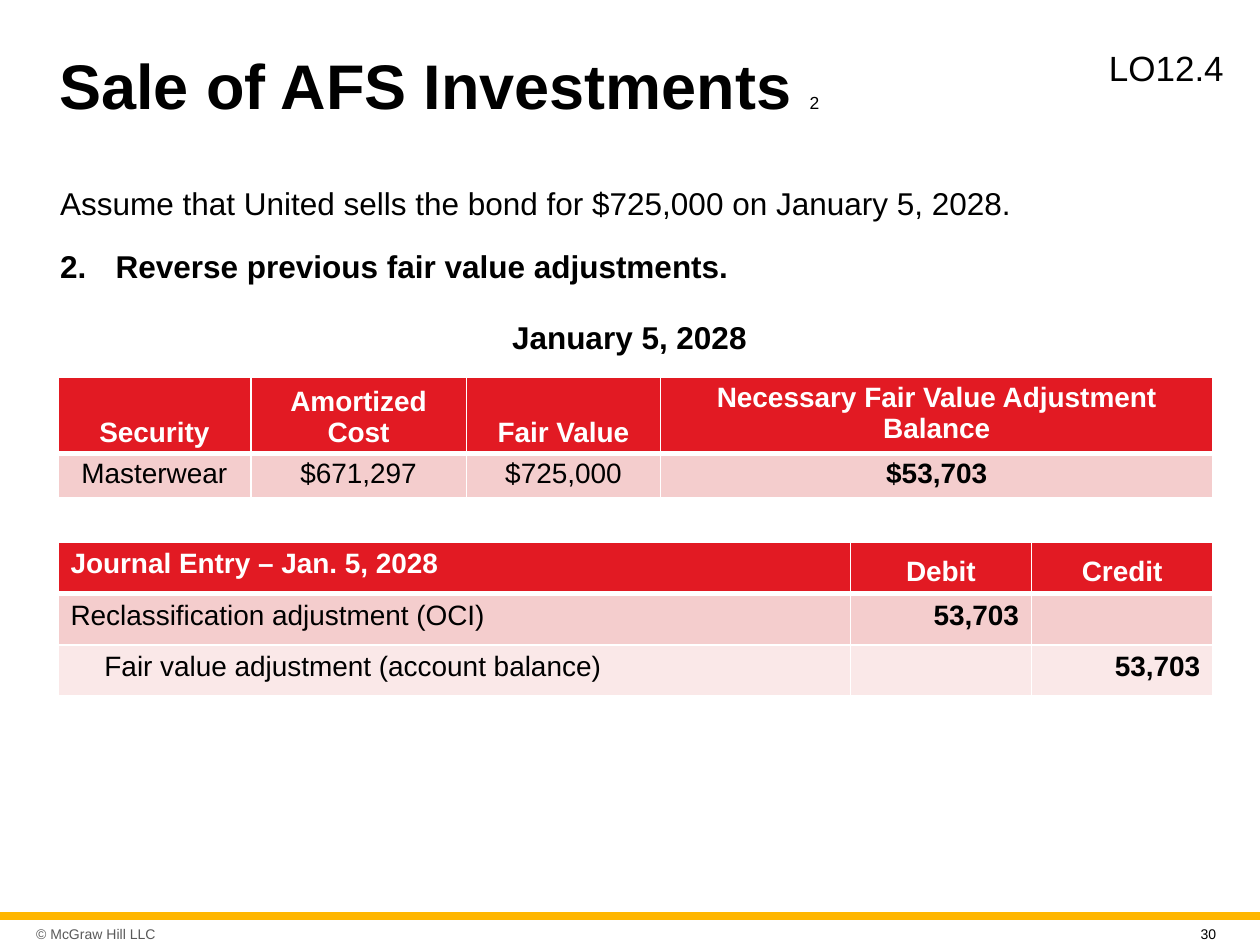
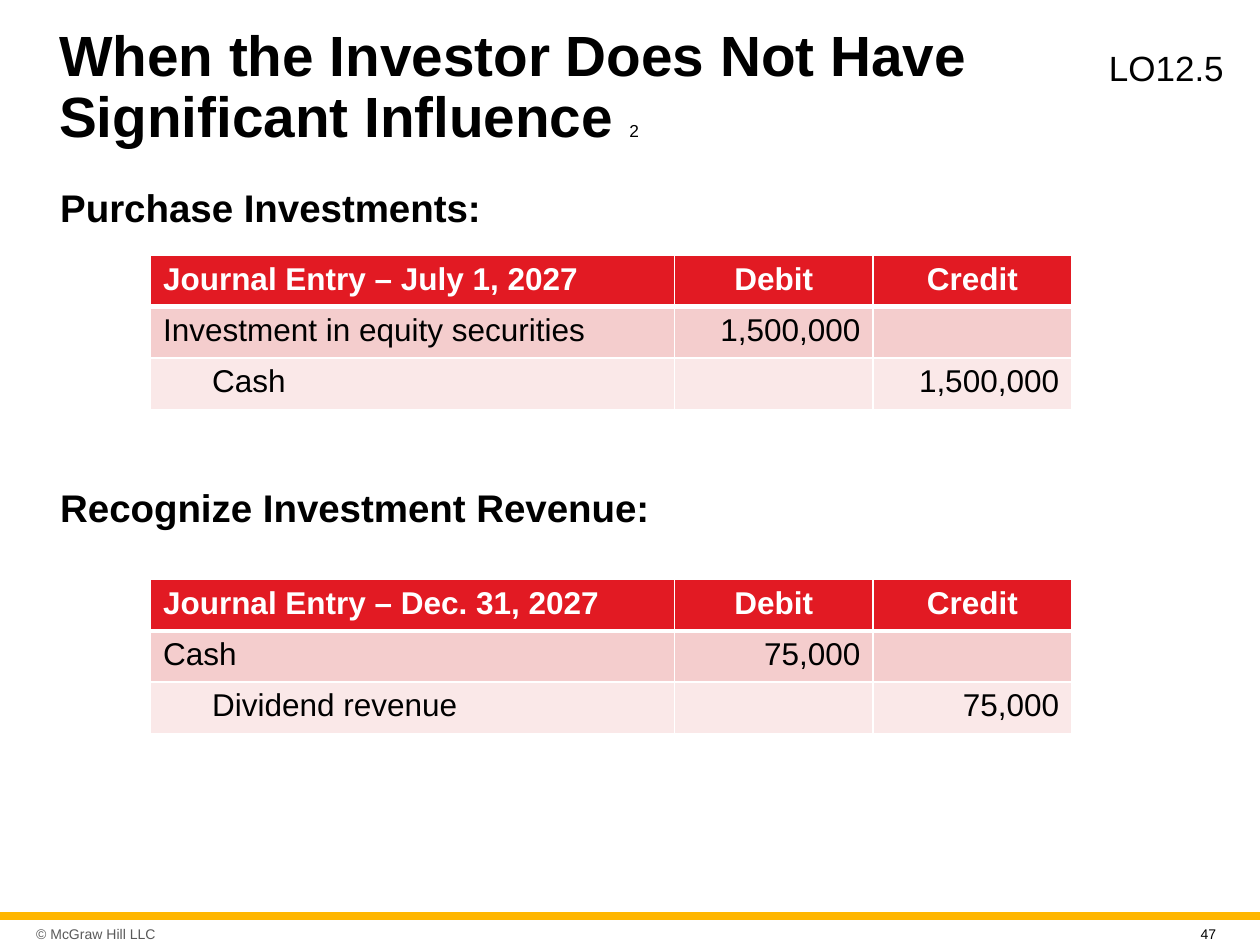
from dataclasses import dataclass
from typing import Optional

from lxml.etree import SubElement
from pptx import Presentation
from pptx.dml.color import RGBColor
from pptx.enum.shapes import MSO_SHAPE as Shape
from pptx.enum.text import MSO_ANCHOR as Anchor, MSO_AUTO_SIZE as AutoSize, PP_ALIGN as Align
from pptx.oxml.ns import qn
from pptx.util import Pt

BLACK = RGBColor(0x00, 0x00, 0x00)
WHITE = RGBColor(0xFF, 0xFF, 0xFF)
GRAY = RGBColor(0x59, 0x59, 0x59)
GOLD = RGBColor(0xFF, 0xB6, 0x00)
RED = RGBColor(0xE2, 0x1A, 0x23)
PINK = RGBColor(0xF4, 0xCD, 0xCD)
PALE_PINK = RGBColor(0xFA, 0xE8, 0xE8)
ROW_FILLS = (RED, PINK, PALE_PINK)

FONT = "Arial"
COMPARISON_LAYOUT = 4
JOURNAL_ROW = 29.3


@dataclass(frozen=True)
class Box:
    left: float
    top: float
    width: float
    height: float


@dataclass(frozen=True)
class Body:
    text: str
    box: Box
    size: float
    bold: bool = False
    align: Align = Align.LEFT
    number: Optional[int] = None


@dataclass(frozen=True)
class Cell:
    text: str = ""
    align: Align = Align.LEFT
    bold: bool = False
    anchor: Anchor = Anchor.TOP
    indent: float = 0


@dataclass(frozen=True)
class Grid:
    left: float
    top: float
    columns: tuple[float, ...]
    heights: tuple[float, ...]
    rows: tuple[tuple[Cell, ...], ...]
    size: float
    inset: float = 3.6


@dataclass(frozen=True)
class Page:
    title: str
    sequence: str
    title_size: float
    sequence_size: float
    bodies: tuple[Body, ...]
    grids: tuple[Grid, ...]
    number: str


def objective(text: str) -> Body:
    return Body(text, Box(626.4, 23, 82, 29.5), 20)


def header(text: str, align: Align = Align.CENTER, anchor: Anchor = Anchor.TOP) -> Cell:
    return Cell(text, align, True, anchor)


def journal(left: float, top: float, columns: tuple[float, ...], size: float, date: str,
            debit: str, credit: str, amount: str, indent: float,
            bold: bool = False, anchor: Anchor = Anchor.TOP) -> Grid:
    """Lay out a two-line journal entry under a Debit and Credit header."""
    value = Cell(amount, Align.RIGHT, bold)
    rows = (
        (header(f"Journal Entry – {date}", Align.LEFT),
         header("Debit", anchor=anchor), header("Credit", anchor=anchor)),
        (Cell(debit), value, Cell()),
        (Cell(credit, indent=indent), Cell(), value),
    )
    return Grid(left, top, columns, (JOURNAL_ROW,) * 3, rows, size)


def place(shape, box: Box) -> None:
    shape.left, shape.top = Pt(box.left), Pt(box.top)
    shape.width, shape.height = Pt(box.width), Pt(box.height)


def add_run(paragraph, text: str, size: float, color: RGBColor = BLACK, bold: bool = False) -> None:
    run = paragraph.add_run()
    run.text = text
    run.font.name = FONT
    run.font.size = Pt(size)
    run.font.bold = bold
    run.font.color.rgb = color


def add_label(slide, box: Box, text: str, color: RGBColor, anchor: Anchor, inset: float) -> None:
    frame = slide.shapes.add_textbox(*map(Pt, (box.left, box.top, box.width, box.height))).text_frame
    frame.word_wrap = True
    frame.vertical_anchor = anchor
    frame.margin_left = frame.margin_right = Pt(inset)
    frame.margin_top = frame.margin_bottom = Pt(3.6)
    add_run(frame.paragraphs[0], text, 8, color)


def add_footer(slide, number: str) -> None:
    band = slide.shapes.add_shape(Shape.RECTANGLE, 0, Pt(521.2), Pt(720), Pt(4.4))
    band.shadow.inherit = False
    band.fill.solid()
    band.fill.fore_color.rgb = GOLD
    band.line.fill.background()
    add_label(slide, Box(17, 524.8, 97.2, 17.3), "© McGraw Hill LLC", GRAY, Anchor.MIDDLE, 3.6)
    add_label(slide, Box(679, 525.6, 28, 13), number, BLACK, Anchor.TOP, 7.2)


def fill_title(shape, page: Page) -> None:
    place(shape, Box(26.6, 15.1, 568.8, 71.3))
    frame = shape.text_frame
    frame.auto_size = AutoSize.NONE
    frame.vertical_anchor = Anchor.MIDDLE
    paragraph = frame.paragraphs[0]
    paragraph.alignment = Align.LEFT
    paragraph.line_spacing = 0.9
    add_run(paragraph, f"{page.title} ", page.title_size, bold=True)
    add_run(paragraph, page.sequence, page.sequence_size)


def fill_body(shape, body: Body) -> None:
    place(shape, body.box)
    frame = shape.text_frame
    frame.auto_size = AutoSize.NONE
    frame.vertical_anchor = Anchor.TOP
    paragraph = frame.paragraphs[0]
    properties = paragraph._p.get_or_add_pPr()
    hanging = 0 if body.number is None else Pt(31.7)
    properties.set("marL", str(hanging))
    properties.set("indent", str(-hanging))
    if body.number is None:
        SubElement(properties, qn("a:buNone"))
    else:
        SubElement(properties, qn("a:buAutoNum"), type="arabicPeriod", startAt=str(body.number))
    paragraph.alignment = body.align
    paragraph.space_before = Pt(0)
    add_run(paragraph, body.text, body.size, bold=body.bold)


def add_borders(cell, bottom: float) -> None:
    properties = cell._tc.get_or_add_tcPr()
    for edge, width in (("L", 1), ("R", 1), ("T", 1), ("B", bottom)):
        line = SubElement(properties, qn(f"a:ln{edge}"), w=str(Pt(width)))
        solid = SubElement(line, qn("a:solidFill"))
        SubElement(solid, qn("a:srgbClr"), val=str(WHITE))


def fill_cell(cell, content: Cell, grid: Grid, row: int) -> None:
    add_borders(cell, 1 if row else 3)
    cell.fill.solid()
    cell.fill.fore_color.rgb = ROW_FILLS[row]
    cell.vertical_anchor = content.anchor
    cell.margin_left = cell.margin_right = Pt(7.2)
    cell.margin_top = cell.margin_bottom = Pt(grid.inset)
    if not content.text:
        return
    paragraph = cell.text_frame.paragraphs[0]
    paragraph.alignment = content.align
    if content.indent:
        paragraph._p.get_or_add_pPr().set("marL", str(Pt(content.indent)))
    add_run(paragraph, content.text, grid.size, BLACK if row else WHITE, content.bold)


def add_grid(slide, grid: Grid) -> None:
    table = slide.shapes.add_table(
        len(grid.rows), len(grid.columns), Pt(grid.left), Pt(grid.top),
        Pt(sum(grid.columns)), Pt(sum(grid.heights))).table
    table.horz_banding = False
    for column, width in zip(table.columns, grid.columns):
        column.width = Pt(width)
    for row, (contents, height) in enumerate(zip(grid.rows, grid.heights)):
        table.rows[row].height = Pt(height)
        for column, content in enumerate(contents):
            fill_cell(table.cell(row, column), content, grid, row)


def add_page(presentation, page: Page) -> None:
    slide = presentation.slides.add_slide(presentation.slide_layouts[COMPARISON_LAYOUT])
    title, *body_shapes = list(slide.placeholders)
    fill_title(title, page)
    for shape, body in zip(body_shapes, page.bodies):
        fill_body(shape, body)
    for unused in body_shapes[len(page.bodies):]:
        unused._element.getparent().remove(unused._element)
    for grid in page.grids:
        add_grid(slide, grid)
    add_footer(slide, page.number)


FAIR_VALUE_GRID = Grid(
    33.1, 215.3, (110.2, 123.2, 111, 315.6), (43.8, 25.2),
    (
        (header("Security", anchor=Anchor.BOTTOM),
         header("Amortized Cost", anchor=Anchor.BOTTOM),
         header("Fair Value", anchor=Anchor.BOTTOM),
         header("Necessary Fair Value Adjustment Balance")),
        (Cell("Masterwear", Align.CENTER), Cell("$671,297", Align.CENTER),
         Cell("$725,000", Align.CENTER), Cell("$53,703", Align.CENTER, True)),
    ),
    16, inset=2.9)

EQUITY_COLUMNS = (299.4, 113.5, 113.5)

PAGES = (
    Page(
        "Sale of AFS Investments", "2", 36, 10,
        (
            objective("LO12.4"),
            Body("Assume that United sells the bond for $725,000 on January 5, 2028.",
                 Box(27.2, 101.5, 666, 29.5), 18),
            Body("Reverse previous fair value adjustments.",
                 Box(27.2, 137.5, 666, 30), 18, True, number=2),
            Body("January 5, 2028", Box(280.1, 178, 159.1, 26.6), 18, True, Align.CENTER),
        ),
        (
            FAIR_VALUE_GRID,
            journal(33.1, 309.9, (452.8, 103.6, 103.6), 16, "Jan. 5, 2028",
                    "Reclassification adjustment (OCI)",
                    "Fair value adjustment (account balance)", "53,703", 19.4,
                    bold=True, anchor=Anchor.BOTTOM),
        ),
        "30"),
    Page(
        "When the Investor Does Not Have Significant Influence", "2", 32.4, 9.9,
        (
            objective("LO12.5"),
            Body("Purchase Investments:", Box(27.2, 101.5, 262, 32.4), 22, True),
            Body("Recognize Investment Revenue:", Box(27.2, 272.9, 362, 33), 22, True),
        ),
        (
            journal(86, 146, EQUITY_COLUMNS, 18, "July 1, 2027",
                    "Investment in equity securities", "Cash", "1,500,000", 28),
            journal(86, 331.2, EQUITY_COLUMNS, 18, "Dec. 31, 2027",
                    "Cash", "Dividend revenue", "75,000", 28),
        ),
        "47"),
)


def main() -> None:
    presentation = Presentation()
    presentation.slide_width, presentation.slide_height = Pt(720), Pt(540)
    for page in PAGES:
        add_page(presentation, page)
    presentation.save("out.pptx")


if __name__ == "__main__":
    main()
